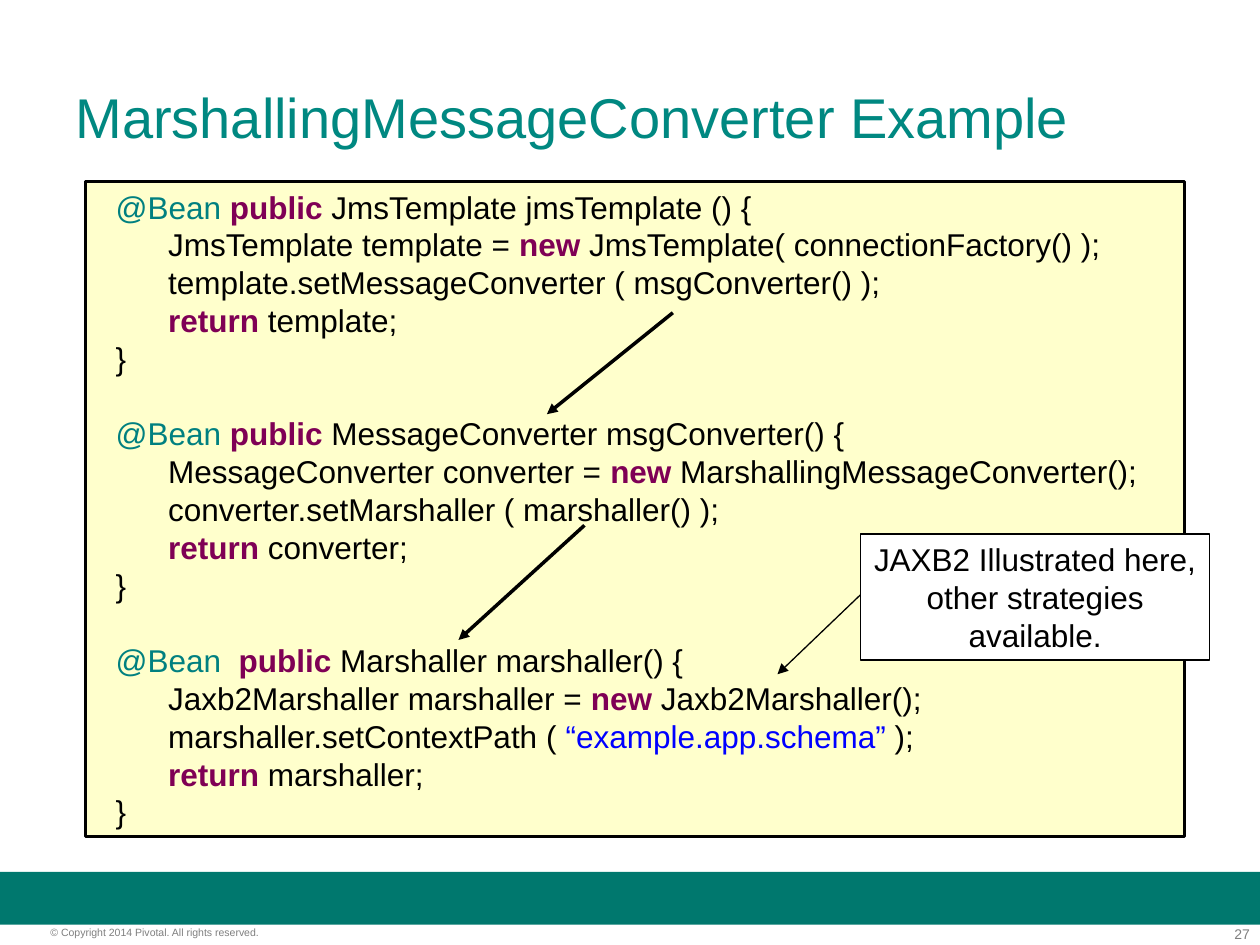
from lxml.etree import SubElement
from pptx import Presentation
from pptx.dml.color import RGBColor
from pptx.enum.shapes import MSO_CONNECTOR as Connector, MSO_SHAPE as Shape
from pptx.enum.text import MSO_ANCHOR as Anchor, PP_ALIGN as Align
from pptx.oxml.ns import qn
from pptx.util import Pt

FONT = "Arial"
LINE_HEIGHT = 21.6
BLACK, GRAY = "000000", "7F7F7F"
KEYWORDS = {"public", "new", "return"}

METHODS = [
    [
        "  |@Bean |public| JmsTemplate jmsTemplate () {",
        "        JmsTemplate template = |new| JmsTemplate( connectionFactory() );",
        "        template.setMessageConverter ( msgConverter() );",
        "        |return| template;",
        "  }",
    ],
    [
        "  |@Bean |public| MessageConverter msgConverter() {",
        "        MessageConverter converter = |new| MarshallingMessageConverter();",
        "        converter.setMarshaller ( marshaller() );",
        "        |return| converter;",
        "  }",
    ],
    [
        "  |@Bean  |public| Marshaller marshaller() {",
        "        Jaxb2Marshaller marshaller = |new| Jaxb2Marshaller();",
        "        marshaller.setContextPath ( |“example.app.schema”| );",
        "        |return| marshaller;",
        "  }",
    ],
]


def color(value):
    return RGBColor.from_string(value)


def add_run(paragraph, text, size, ink, bold=False):
    run = paragraph.add_run()
    run.text = text
    run.font.name = FONT
    run.font.size = Pt(size)
    run.font.bold = bold
    run.font.color.rgb = color(ink)


def add_panel(slide, box, fill, border=None):
    panel = slide.shapes.add_shape(Shape.RECTANGLE, *map(Pt, box))
    panel.shadow.inherit = False
    panel.fill.solid()
    panel.fill.fore_color.rgb = color(fill)
    if border:
        panel.line.color.rgb = color(BLACK)
        panel.line.width = Pt(border)
    else:
        panel.line.fill.background()
    panel.text_frame.word_wrap = True
    panel.text_frame.vertical_anchor = Anchor.TOP
    return panel.text_frame


def add_label(slide, box, text, size, ink, align=Align.LEFT, inset=(0, 0)):
    frame = slide.shapes.add_textbox(*map(Pt, box)).text_frame
    frame.word_wrap = True
    frame.vertical_anchor = Anchor.MIDDLE
    frame.margin_left = frame.margin_right = Pt(inset[0])
    frame.margin_top = frame.margin_bottom = Pt(inset[1])
    paragraph = frame.paragraphs[0]
    paragraph.alignment = align
    add_run(paragraph, text, size, ink)


def add_arrow(slide, start, end, width):
    arrow = slide.shapes.add_connector(Connector.STRAIGHT, *map(Pt, start + end))
    arrow.line.color.rgb = color(BLACK)
    arrow.line.width = Pt(width)
    SubElement(arrow.line._get_or_add_ln(), qn("a:tailEnd"), type="triangle")
    SubElement(arrow._element.spPr, qn("a:effectLst"))


def add_code_line(paragraph, line):
    paragraph.alignment = Align.LEFT
    paragraph.line_spacing = Pt(LINE_HEIGHT)
    for token in line.split("|"):
        keyword = token in KEYWORDS
        if keyword:
            ink = "7F0055"
        elif token.startswith("@"):
            ink = "008080"
        elif token.startswith("“"):
            ink = "0000FF"
        else:
            ink = BLACK
        add_run(paragraph, token, 18, ink, keyword)


def add_code(slide, box):
    left, top, _, _ = box
    frame = add_panel(slide, box, "FFFFCC", 1.5)
    paragraph = frame.paragraphs[0]
    for method_index, method in enumerate(METHODS):
        for line_index, line in enumerate(method):
            if method_index or line_index:
                paragraph = frame.add_paragraph()
            if method_index and not line_index:
                paragraph.space_before = Pt(LINE_HEIGHT)
            add_code_line(paragraph, line)
    for x, y, drop in ((335.5, 75, 58), (285, 196.5, 65.5)):
        add_arrow(slide, (left + x, top + y), (left + x - 72, top + y + drop), 0)


def add_callout(slide, box):
    left, top, _, _ = box
    add_arrow(slide, (left, top + 34.5), (left - 47.5, top + 80), 0.75)
    paragraph = add_panel(slide, box, "FFFFFF", 1).paragraphs[0]
    paragraph.alignment = Align.CENTER
    paragraph.line_spacing = Pt(LINE_HEIGHT)
    add_run(paragraph, "JAXB2 Illustrated here, other strategies available.", 18, BLACK)


def add_footer(slide, box):
    left, top, width, height = box
    add_panel(slide, (left, top, width, 30.2), "00786E")
    label_top = top + 31
    add_label(slide, (left + width - 47.5, label_top, 41.8, 9.4), "27", 8, GRAY, Align.RIGHT)
    add_label(slide, (left + 28.8, label_top, 179.3, 7.2),
              "© Copyright 2014 Pivotal. All rights reserved.", 6, GRAY)


def main():
    deck = Presentation()
    deck.slide_width, deck.slide_height = Pt(720), Pt(540)
    slide = deck.slides.add_slide(deck.slide_layouts[6])
    add_footer(slide, (0, 498.2, 720, 41.8))
    add_label(slide, (36, 21.6, 648, 90), "MarshallingMessageConverter Example",
              32, "008881", inset=(7.2, 3.6))
    add_code(slide, (49, 103.7, 627.8, 374.4))
    add_callout(slide, (491.8, 305.3, 199.4, 72))
    deck.save("out.pptx")


if __name__ == "__main__":
    main()
